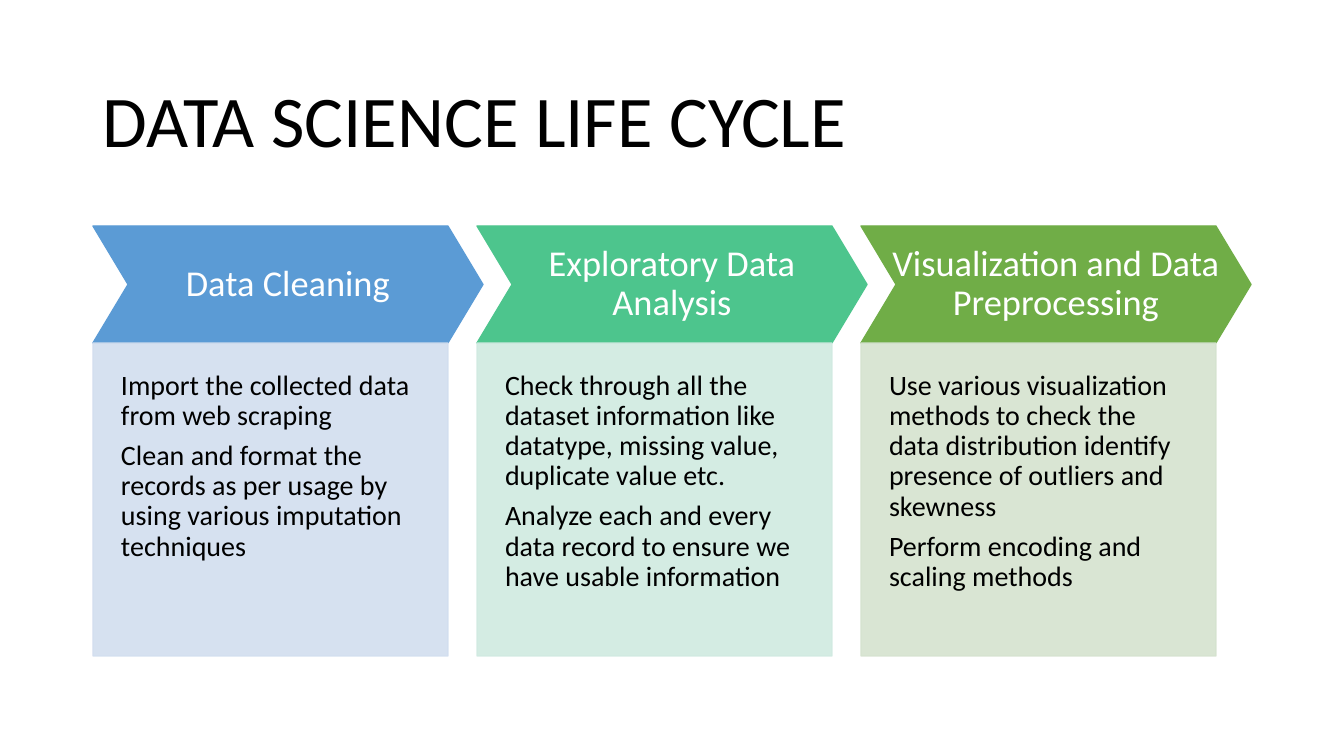
"""Build the data science life cycle slide: three chevron stages with details."""
import pptx
import pptx.dml.color
import pptx.enum.shapes
import pptx.enum.text
import pptx.oxml.ns
import pptx.util
from lxml import etree

PX = 914400 / 100.8
COLORS = {
    "black": "000000",
    "white": "FFFFFF",
    "blue": "5B9BD5",
    "pale blue": "D2DEEF",
    "teal": "4DC58D",
    "pale teal": "D0EAE1",
    "green": "70AD47",
    "pale green": "D5E3CF",
}
STAGES = [
    ("Data Cleaning", "blue", [
        "Import the collected data from web scraping",
        "Clean and format the records as per usage by using various imputation techniques",
    ]),
    ("Exploratory Data Analysis", "teal", [
        "Check through all the dataset information like datatype, missing value, duplicate value etc.",
        "Analyze each and every data record to ensure we have usable information",
    ]),
    ("Visualization and Data Preprocessing", "green", [
        "Use various visualization methods to check the data distribution identify presence of outliers and skewness",
        "Perform encoding and scaling methods",
    ]),
]
LEFT, PITCH = 93, 384
HEADER_TOP, HEADER_WIDTH, HEADER_HEIGHT = 226, 390, 117
BODY_WIDTH, BODY_HEIGHT = 355, 313
Align = pptx.enum.text.PP_ALIGN
Anchor = pptx.enum.text.MSO_ANCHOR
Preset = pptx.enum.shapes.MSO_SHAPE


def write(box, paragraphs, size, color="black", align=Align.LEFT,
          anchor=Anchor.MIDDLE, insets=(10, 5, 10, 5), after=0):
    frame = box.text_frame
    frame.word_wrap = True
    frame.vertical_anchor = anchor
    frame.margin_left, frame.margin_top, frame.margin_right, frame.margin_bottom = (
        round(inset * PX) for inset in insets)
    for index, text in enumerate(paragraphs):
        para = frame.add_paragraph() if index else frame.paragraphs[0]
        para.alignment = align
        para.line_spacing = 0.9
        para.space_after = pptx.util.Pt(after)
        span = para.add_run()
        span.text = text
        span.font.name = "Calibri"
        span.font.size = pptx.util.Pt(size)
        span.font.color.rgb = pptx.dml.color.RGBColor.from_string(COLORS[color])


def add_panel(preset, bounds, color, opacity=100):
    panel = slide.shapes.add_shape(preset, *(round(length * PX) for length in bounds))
    panel.shadow.inherit = False
    panel.line.width = pptx.util.Pt(1)
    for paint in (panel.fill, panel.line.fill):
        paint.solid()
        paint.fore_color.rgb = pptx.dml.color.RGBColor.from_string(COLORS[color])
    if opacity < 100:
        for tone in panel.element.spPr.iter(pptx.oxml.ns.qn("a:srgbClr")):
            etree.SubElement(tone, pptx.oxml.ns.qn("a:alpha"), val=str(opacity * 1000))
    return panel


deck = pptx.Presentation()
deck.slide_width = round(1344 * PX)
deck.slide_height = round(756 * PX)
slide = deck.slides.add_slide(deck.slide_layouts[6])

title = slide.shapes.add_textbox(*(round(length * PX) for length in (93, 61, 1159, 125)))
write(title, ["DATA SCIENCE LIFE CYCLE"], size=52)

for column, (heading, color, details) in enumerate(STAGES):
    left = LEFT + column * PITCH
    header = (left, HEADER_TOP, HEADER_WIDTH, HEADER_HEIGHT)
    chevron = add_panel(Preset.CHEVRON, header, color)
    chevron.adjustments[0] = 0.3
    label = slide.shapes.add_textbox(*(round(length * PX) for length in header))
    write(label, [heading], size=26, color="white", align=Align.CENTER,
          insets=(14, 14, 14, 14))
    body = add_panel(Preset.RECTANGLE,
                     (left, HEADER_TOP + HEADER_HEIGHT, BODY_WIDTH, BODY_HEIGHT),
                     f"pale {color}", opacity=90)
    write(body, details, size=20, anchor=Anchor.TOP, insets=(28, 28, 28, 56), after=7)

deck.save("out.pptx")
